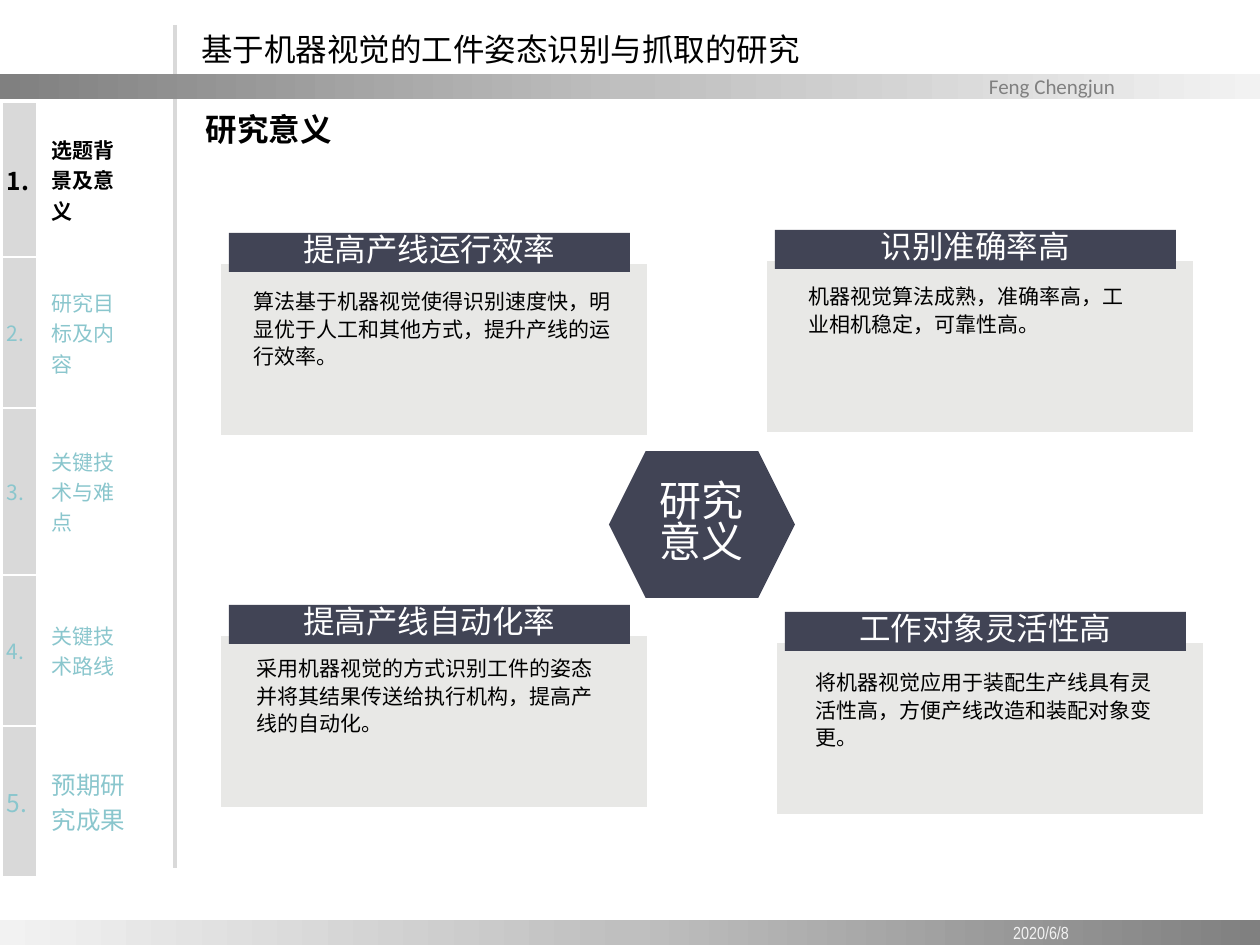
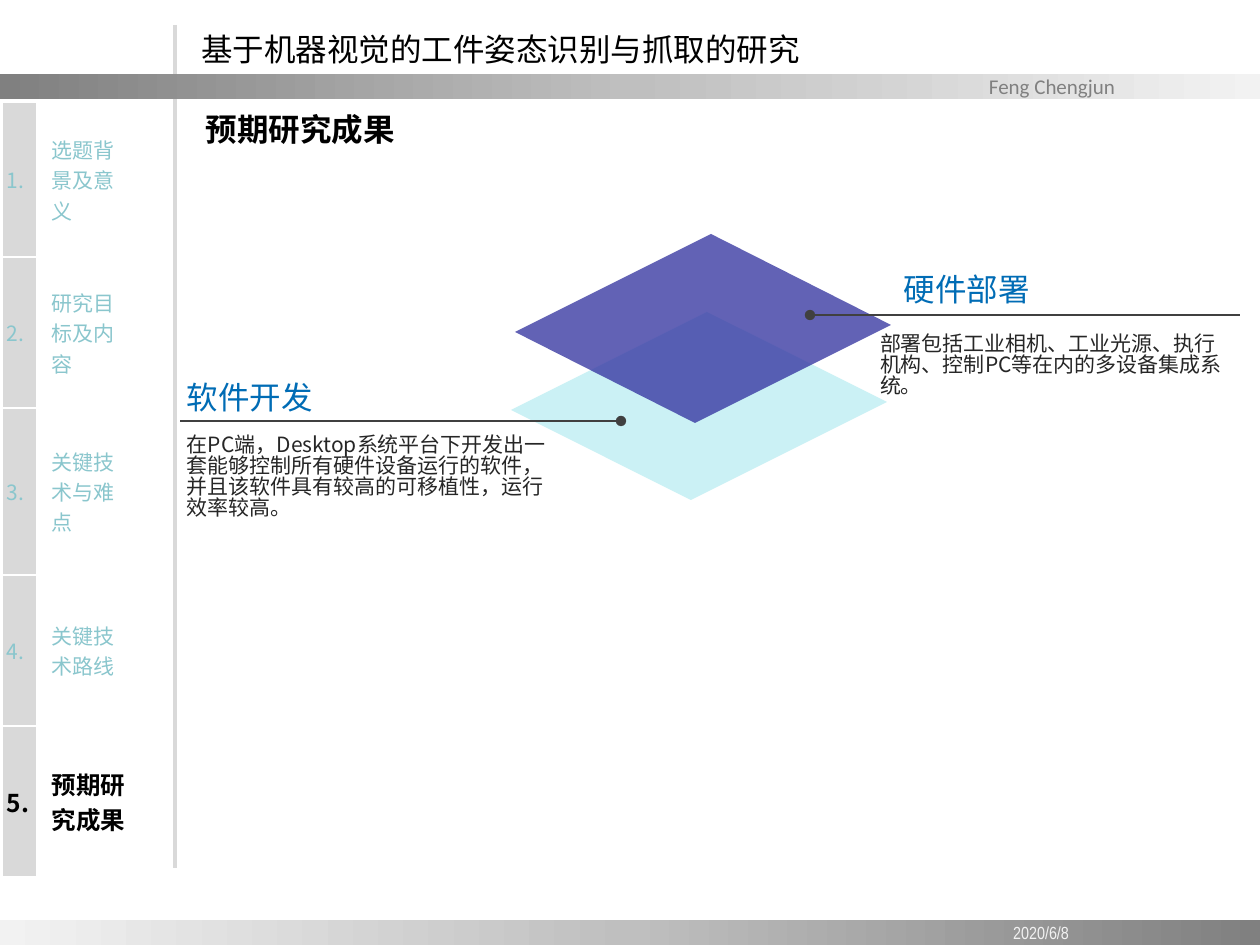
from copy import deepcopy

from lxml.etree import SubElement
from pptx import Presentation
from pptx.dml.color import RGBColor
from pptx.enum.shapes import MSO_CONNECTOR, MSO_SHAPE
from pptx.enum.text import MSO_ANCHOR, MSO_AUTO_SIZE, PP_ALIGN
from pptx.oxml.ns import qn
from pptx.util import Emu, Pt

PX = 914400 / 126
WIDTH, HEIGHT = 1260, 945

BLACK = RGBColor(0x00, 0x00, 0x00)
WHITE = RGBColor(0xFF, 0xFF, 0xFF)
INK = RGBColor(0x26, 0x26, 0x26)
RULE = RGBColor(0x40, 0x40, 0x40)
SLATE = RGBColor(0x41, 0x44, 0x55)
PANEL = RGBColor(0xE8, 0xE8, 0xE6)
PALE = RGBColor(0xD9, 0xD9, 0xD9)
TEAL = RGBColor(0x8A, 0xC6, 0xCD)
HEADING = RGBColor(0x00, 0x6C, 0xB5)
AQUA = RGBColor(0xCB, 0xF1, 0xF5)
INDIGO = RGBColor(0x33, 0x33, 0xA0)
GREY = RGBColor(0x80, 0x80, 0x80)
MIDDLE_GREY = RGBColor(0xBF, 0xBF, 0xBF)
LIGHT_GREY = RGBColor(0xF2, 0xF2, 0xF2)

CJK = "Noto Sans CJK SC"
COMPACT = 0.83
LOOSE = 1.08
SIDES = ("left", "right", "top", "bottom")

TITLE = "基于机器视觉的工件姿态识别与抓取的研究"
AUTHOR = "Feng Chengjun"
DATE = "2020/6/8"
CHAPTERS = ["选题背景及意义", "研究目标及内容", "关键技术与难点", "关键技术路线", "预期研究成果"]
CHAPTER_HEIGHTS = [155, 151, 167, 151, 151]
CHAPTER_COLUMNS = [35, 109, 58]

CARDS = [
    ((219, 262), (27, 21, 376), "提高产线运行效率",
     "算法基于机器视觉使得识别速度快，明显优于人工和其他方式，提升产线的运行效率。"),
    ((219, 634), (30, 16, 365), "提高产线自动化率",
     "采用机器视觉的方式识别工件的姿态并将其结果传送给执行机构，提高产线的自动化。"),
    ((765, 259), (36, 19, 349), "识别准确率高",
     "机器视觉算法成熟，准确率高，工业相机稳定，可靠性高。"),
    ((775, 641), (33, 23, 364), "工作对象灵活性高",
     "将机器视觉应用于装配生产线具有灵活性高，方便产线改造和装配对象变更。"),
]


def px(*lengths):
    return [Emu(round(length * PX)) for length in lengths]


def assign(target, values):
    for name, value in values.items():
        setattr(target, name, value)


def set_margins(target, horizontal, vertical):
    lengths = px(horizontal, horizontal, vertical, vertical)
    assign(target, {f"margin_{side}": length for side, length in zip(SIDES, lengths)})


def write(frame, text, size, color, bold=False, font=CJK, align=PP_ALIGN.LEFT, spacing=COMPACT):
    para = frame.paragraphs[0]
    assign(para, {"alignment": align, "line_spacing": spacing})
    span = para.add_run()
    span.text = text
    assign(span.font, {"name": font, "size": Pt(size), "bold": bold})
    span.font.color.rgb = color
    SubElement(span.font._element, qn("a:ea"), typeface=font)


def prepare(frame, margins, anchor):
    assign(frame, {"word_wrap": True, "auto_size": MSO_AUTO_SIZE.NONE, "vertical_anchor": anchor})
    set_margins(frame, *margins)


def add_text(page, box, text, size, color, margins=(13, 6), anchor=MSO_ANCHOR.TOP, **style):
    frame = page.shapes.add_textbox(*px(*box)).text_frame
    prepare(frame, margins, anchor)
    write(frame, text, size, color, **style)


def add_block(page, kind, box, fill, outline=None):
    block = page.shapes.add_shape(kind, *px(*box))
    block.shadow.inherit = False
    block.fill.solid()
    block.fill.fore_color.rgb = fill
    if outline is None:
        block.line.fill.background()
    else:
        block.line.color.rgb = outline
        block.line.width = Pt(2)
    return block


def add_label(page, kind, box, text, size):
    block = add_block(page, kind, box, SLATE)
    prepare(block.text_frame, (8, 4), MSO_ANCHOR.MIDDLE)
    write(block.text_frame, text, size, WHITE, align=PP_ALIGN.CENTER)


def add_band(page, box, angle):
    band = add_block(page, MSO_SHAPE.RECTANGLE, box, GREY)
    band.fill.gradient()
    band.fill.gradient_angle = angle
    stop_list = band._element.spPr.find(".//" + qn("a:gsLst"))
    stop_list.append(deepcopy(stop_list[0]))
    colors = (GREY, MIDDLE_GREY, LIGHT_GREY)
    for stop, color, position in zip(band.fill.gradient_stops, colors, (0, 0.5, 1)):
        stop.color.rgb = color
        stop.position = position
    return band


def add_rule(page, start, end, color, width, dotted_start=False):
    rule = page.shapes.add_connector(MSO_CONNECTOR.STRAIGHT, *px(*start, *end))
    rule.line.color.rgb = color
    rule.line.width = Pt(width)
    if dotted_start:
        SubElement(rule.line._get_or_add_ln(), qn("a:headEnd"), type="oval")
    SubElement(rule._element.spPr, qn("a:effectLst"))


def set_borders(cell, color):
    properties = cell._tc.get_or_add_tcPr()
    for index, side in enumerate("LRTB"):
        border = SubElement(properties, qn(f"a:ln{side}"), w=str(Pt(1.5)))
        if color is None:
            SubElement(border, qn("a:noFill"))
        else:
            fill = SubElement(border, qn("a:solidFill"))
            SubElement(fill, qn("a:srgbClr"), val=str(color))
        properties.insert(index, border)


def add_chapters(page, box, active):
    rows, columns = len(CHAPTERS), len(CHAPTER_COLUMNS)
    table = page.shapes.add_table(rows, columns, *px(*box)).table
    assign(table, {"first_row": False, "horz_banding": False})
    for column, width in zip(table.columns, px(*CHAPTER_COLUMNS)):
        column.width = width
    for row, height in zip(table.rows, px(*CHAPTER_HEIGHTS)):
        row.height = height
    for index, chapter in enumerate(CHAPTERS):
        number, name, spare = table.rows[index].cells
        current = index == active
        color = BLACK if current else TEAL
        last = index == rows - 1
        for cell, text, margin, large in (
            (number, f"{index + 1}.", 5, current or last),
            (name, chapter, 15, last),
        ):
            cell.vertical_anchor = MSO_ANCHOR.MIDDLE
            set_margins(cell, margin, 0)
            write(cell.text_frame, text, 14 if large else 12, color, bold=current, spacing=1)
            set_borders(cell, WHITE)
        set_borders(spare, None)
        number.fill.solid()
        number.fill.fore_color.rgb = PALE
        name.fill.background()
        spare.fill.background()


def add_page(deck, heading, active):
    page = deck.slides.add_slide(deck.slide_layouts[5])
    add_band(page, (0, 920, WIDTH, 25), 180)
    add_rule(page, (175, 25), (175, 868), PALE, 2)
    band = add_band(page, (0, 74, WIDTH, 25), 0)
    prepare(band.text_frame, (0, 0), MSO_ANCHOR.MIDDLE)
    band.text_frame.margin_left = px(989)[0]
    write(band.text_frame, AUTHOR, 12, GREY, font="Calibri", spacing=1)
    title = page.shapes.title
    assign(title, dict(zip(("left", "top", "width", "height"), px(188, 15, 854, 74))))
    prepare(title.text_frame, (13, 6), MSO_ANCHOR.MIDDLE)
    write(title.text_frame, TITLE, 18, BLACK)
    add_text(page, (942, 920, 198, 25), DATE, 10, LIGHT_GREY, margins=(0, 0),
             anchor=MSO_ANCHOR.MIDDLE, font="Arial Narrow", align=PP_ALIGN.CENTER, spacing=1)
    add_chapters(page, (2, 102, sum(CHAPTER_COLUMNS), sum(CHAPTER_HEIGHTS)), active)
    add_text(page, (193, 110, 277, 50), heading, 18, BLACK, bold=True)
    return page


def add_card(page, corner, inset, heading, body):
    left, top = corner
    shift, drop, width = inset
    add_block(page, MSO_SHAPE.RECTANGLE, (left, top, 430, 175), PANEL, WHITE)
    add_label(page, MSO_SHAPE.RECTANGLE, (left + 10, top - 29, 401, 39), heading, 18)
    add_text(page, (left + shift, top + drop, width, 107), body, 12, BLACK,
             margins=(8, 4), spacing=LOOSE)


def add_tile(page, box, color, opacity=100):
    left, top, width, height = box
    corners = [(round(left + width * across), round(top + height * down))
               for across, down in ((0.52, 0), (1, 0.48), (0.48, 1), (0, 0.52))]
    builder = page.shapes.build_freeform(*corners[0], scale=PX)
    builder.add_line_segments(corners[1:])
    tile = builder.convert_to_shape()
    tile.shadow.inherit = False
    tile.fill.solid()
    tile.fill.fore_color.rgb = color
    tile.line.fill.background()
    fill_color = tile._element.spPr.find(".//" + qn("a:srgbClr"))
    SubElement(fill_color, qn("a:alpha"), val=str(opacity * 1000))


def add_callout(page, heading_box, body_box, rule_start, rule_end, heading, body):
    add_rule(page, rule_start, rule_end, RULE, 1, dotted_start=True)
    add_text(page, body_box, body, 12, INK)
    add_text(page, heading_box, heading, 18, HEADING)


def build_significance(deck):
    page = add_page(deck, "研究意义", 0)
    add_label(page, MSO_SHAPE.HEXAGON, (609, 451, 186, 147), "研究意义", 24)
    for card in CARDS:
        add_card(page, *card)


def build_results(deck):
    page = add_page(deck, "预期研究成果", 4)
    add_tile(page, (511, 312, 376, 188), AQUA)
    add_tile(page, (515, 234, 376, 189), INDIGO, 77)
    add_callout(page, (891, 270, 334, 50), (867, 329, 374, 89), (810, 315), (1240, 315),
                "硬件部署", "部署包括工业相机、工业光源、执行机构、控制PC等在内的多设备集成系统。")
    add_callout(page, (174, 378, 326, 50), (174, 430, 401, 115), (621, 421), (180, 421),
                "软件开发",
                "在PC端，Desktop系统平台下开发出一套能够控制所有硬件设备运行的软件，"
                "并且该软件具有较高的可移植性，运行效率较高。")


def main():
    deck = Presentation()
    deck.slide_width, deck.slide_height = px(WIDTH, HEIGHT)
    build_significance(deck)
    build_results(deck)
    deck.save("out.pptx")


if __name__ == "__main__":
    main()
